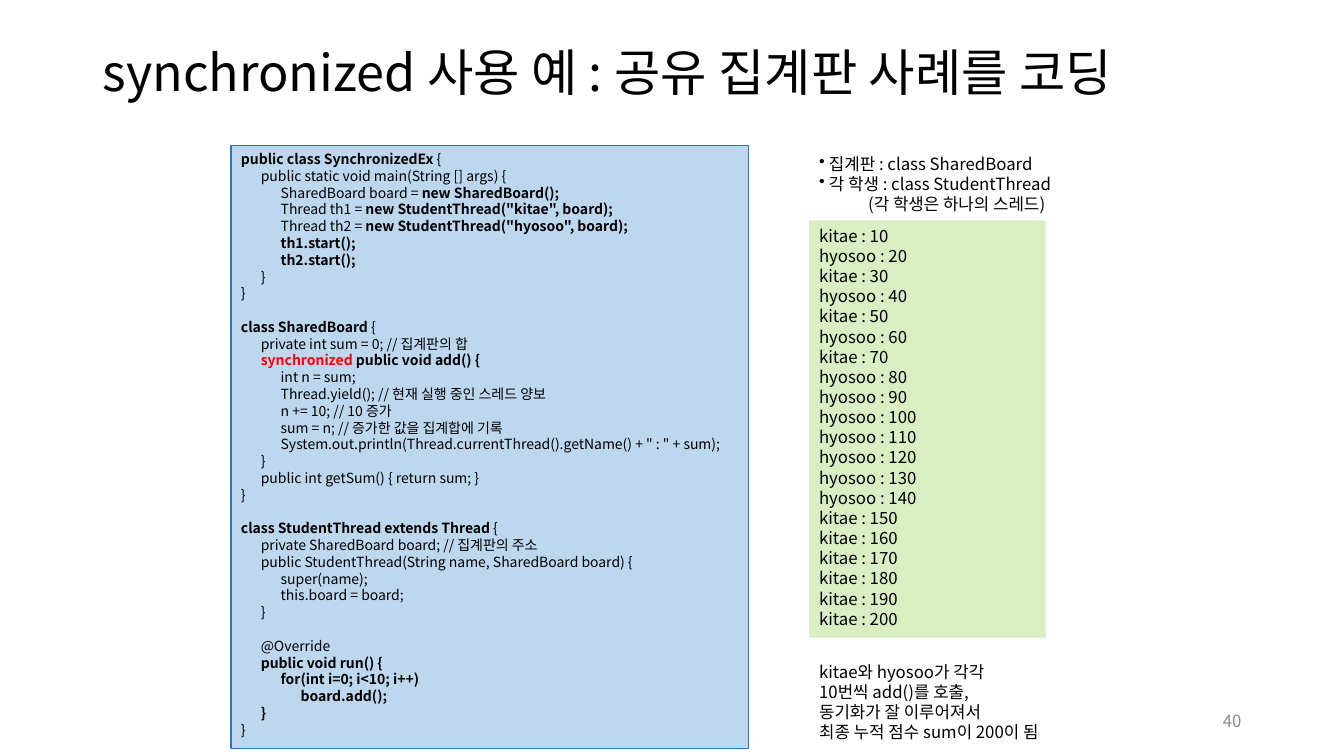
from dataclasses import dataclass

from pptx import Presentation
from pptx.dml.color import RGBColor
from pptx.enum.shapes import MSO_SHAPE
from pptx.enum.text import MSO_ANCHOR, MSO_AUTO_SIZE, PP_ALIGN
from pptx.oxml.ns import qn
from pptx.util import Pt
from lxml.etree import SubElement


@dataclass(frozen=True)
class Theme:
    font: str = "Noto Sans CJK KR"
    ink: str = "000000"
    accent: str = "FF0000"
    muted: str = "8C8C8C"
    code_fill: str = "BDD7EE"
    code_line: str = "2E75B6"
    output_fill: str = "DAEEC4"
    title_size: int = 36
    body_size: int = 12
    code_size: int = 10
    leading: float = 1.2
    code_indent: float = 14.2


THEME = Theme()

MAIN_CLASS = """\
**public class SynchronizedEx **{
    public static void main(String [] args) {
        SharedBoard board = **new SharedBoard(); **
        Thread th1 = **new StudentThread("kitae", board);**
        Thread th2 = **new StudentThread("hyosoo", board);**
        **th1.start();**
        **th2.start();**
    }
}"""

BOARD_CLASS = """\
**class SharedBoard** {
    private int sum = 0; // 집계판의 합
    **synchronized ****public void add() {**
        int n = sum;
        Thread.yield(); // 현재 실행 중인 스레드 양보
        n += 10; // 10 증가
        sum = n; // 증가한 값을 집계합에 기록
        System.out.println(Thread.currentThread().getName() + " : " + sum);
    }
    public int getSum() { return sum; }
}"""

STUDENT_CLASS = """\
**class StudentThread extends Thread **{
    private SharedBoard board; // 집계판의 주소
    public StudentThread(String name, SharedBoard board) {
        super(name);
        this.board = board;
    }

    @Override
    **public void run() {**
        **for(int i=0; i<10; i++)**
            **board.add();**
    **}**
}"""

ROLES = """\
• 집계판 : class SharedBoard
• 각 학생 : class StudentThread
    (각 학생은 하나의 스레드)"""

RESULT = """\
kitae와 hyosoo가 각각
10번씩 add()를 호출,
동기화가 잘 이루어져서
최종 누적 점수 sum이 200이 됨"""

CALLERS = ["kitae", "hyosoo"] * 4 + ["hyosoo"] * 6 + ["kitae"] * 6


def write(frame, text, size=THEME.body_size, color=THEME.ink, align=PP_ALIGN.LEFT,
          anchor=MSO_ANCHOR.TOP, indent=0, spacing=None, accented=None):
    frame.word_wrap = True
    frame.auto_size = MSO_AUTO_SIZE.NONE
    frame.vertical_anchor = anchor
    leading = Pt(size * THEME.leading)
    paragraph, gap = None, 0
    for line in text.split("\n"):
        content = line.lstrip(" ")
        if not content:
            gap += leading
            continue
        paragraph = frame.add_paragraph() if paragraph else frame.paragraphs[0]
        paragraph.alignment = align
        paragraph.line_spacing = spacing or leading
        paragraph.space_before, gap = Pt(gap / Pt(1)), 0
        margin, hanging = Pt(indent * (len(line) - len(content)) / 4), 0
        properties = paragraph._p.get_or_add_pPr()
        if content.startswith("• "):
            content = content[2:]
            margin, hanging = Pt(7), Pt(-7)
            SubElement(properties, qn("a:buChar")).set("char", "•")
        properties.set("marL", str(int(margin)))
        properties.set("indent", str(int(hanging)))
        for position, part in enumerate(content.split("**")):
            if not part:
                continue
            run = paragraph.add_run()
            run.text = part
            run.font.name = THEME.font
            run.font.size = Pt(size)
            run.font.bold = position % 2 == 1
            run.font.color.rgb = RGBColor.from_string(
                THEME.accent if part == accented else color)
            SubElement(run._r.get_or_add_rPr(), qn("a:ea")).set("typeface", THEME.font)


class Page:
    def __init__(self, presentation, theme):
        self.theme = theme
        self.slide = presentation.slides.add_slide(presentation.slide_layouts[5])

    def title(self, text, left, top, width, height):
        heading = self.slide.shapes.title
        heading.left, heading.top = Pt(left), Pt(top)
        heading.width, heading.height = Pt(width), Pt(height)
        write(heading.text_frame, text, size=self.theme.title_size,
              anchor=MSO_ANCHOR.MIDDLE, spacing=0.9)

    def label(self, text, left, top, width, height, **style):
        box = self.slide.shapes.add_textbox(Pt(left), Pt(top), Pt(width), Pt(height))
        write(box.text_frame, text, **style)

    def panel(self, text, left, top, width, height, fill, line=None, **style):
        panel = self.slide.shapes.add_shape(
            MSO_SHAPE.RECTANGLE, Pt(left), Pt(top), Pt(width), Pt(height))
        panel.shadow.inherit = False
        panel.fill.solid()
        panel.fill.fore_color.rgb = RGBColor.from_string(fill)
        if line:
            panel.line.color.rgb = RGBColor.from_string(line)
            panel.line.width = Pt(0.75)
        else:
            panel.line.fill.background()
        write(panel.text_frame, text, **style)


presentation = Presentation()
presentation.slide_width, presentation.slide_height = Pt(960), Pt(540)

code = "\n\n".join([MAIN_CLASS, BOARD_CLASS, STUDENT_CLASS])
output = "\n".join(f"{caller} : {10 * turn}" for turn, caller in enumerate(CALLERS, 1))
side = 578

page = Page(presentation, THEME)
page.title("synchronized 사용 예 : 공유 집계판 사례를 코딩", 66, 1.5, 828, 104.5)
page.panel(code, 165, 104, 369.5, 431, THEME.code_fill, THEME.code_line,
           size=THEME.code_size, indent=THEME.code_indent, accented="synchronized ")
page.label(RESULT, side, 469, 192, 65.5)
page.panel(output, side, 157.5, 169, 298, THEME.output_fill)
page.label(ROLES, side, 106, 212, 51, indent=35)
page.label("40", 678, 500.5, 216, 28.5, color=THEME.muted,
           align=PP_ALIGN.RIGHT, anchor=MSO_ANCHOR.MIDDLE)

presentation.save("out.pptx")
